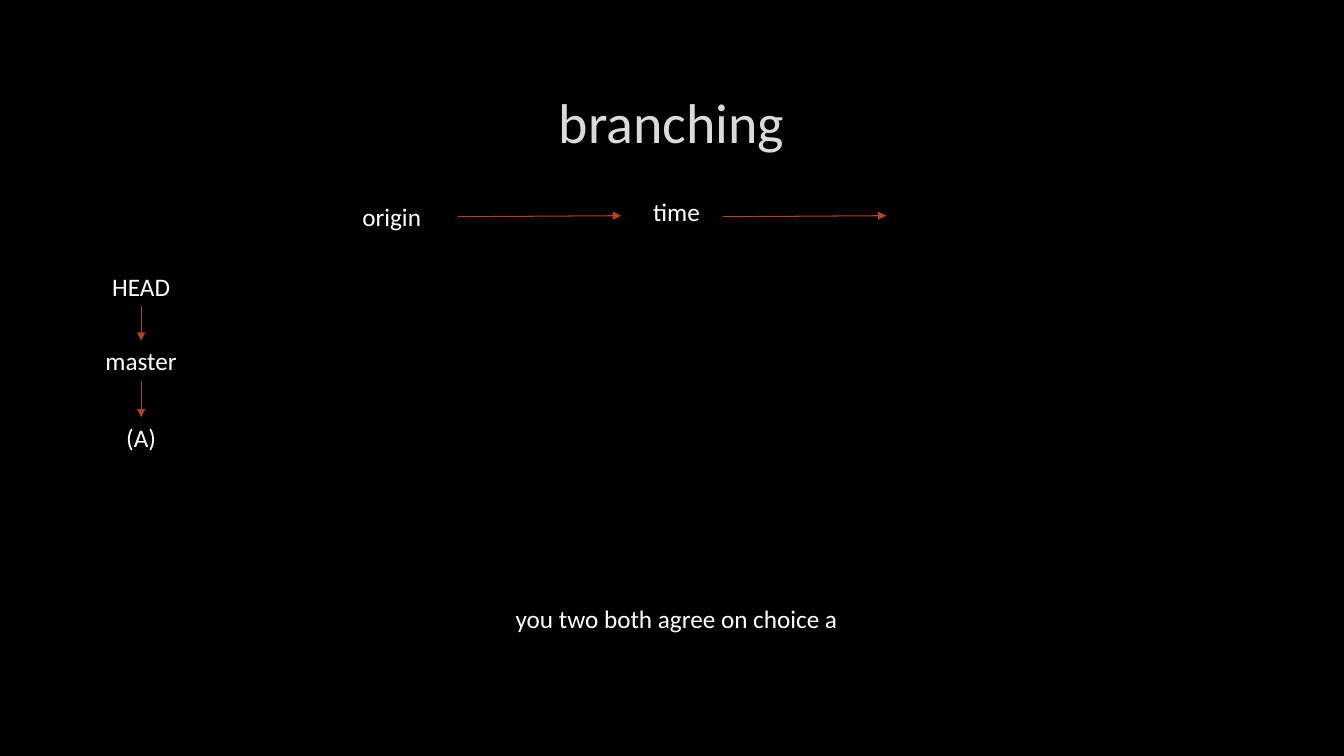
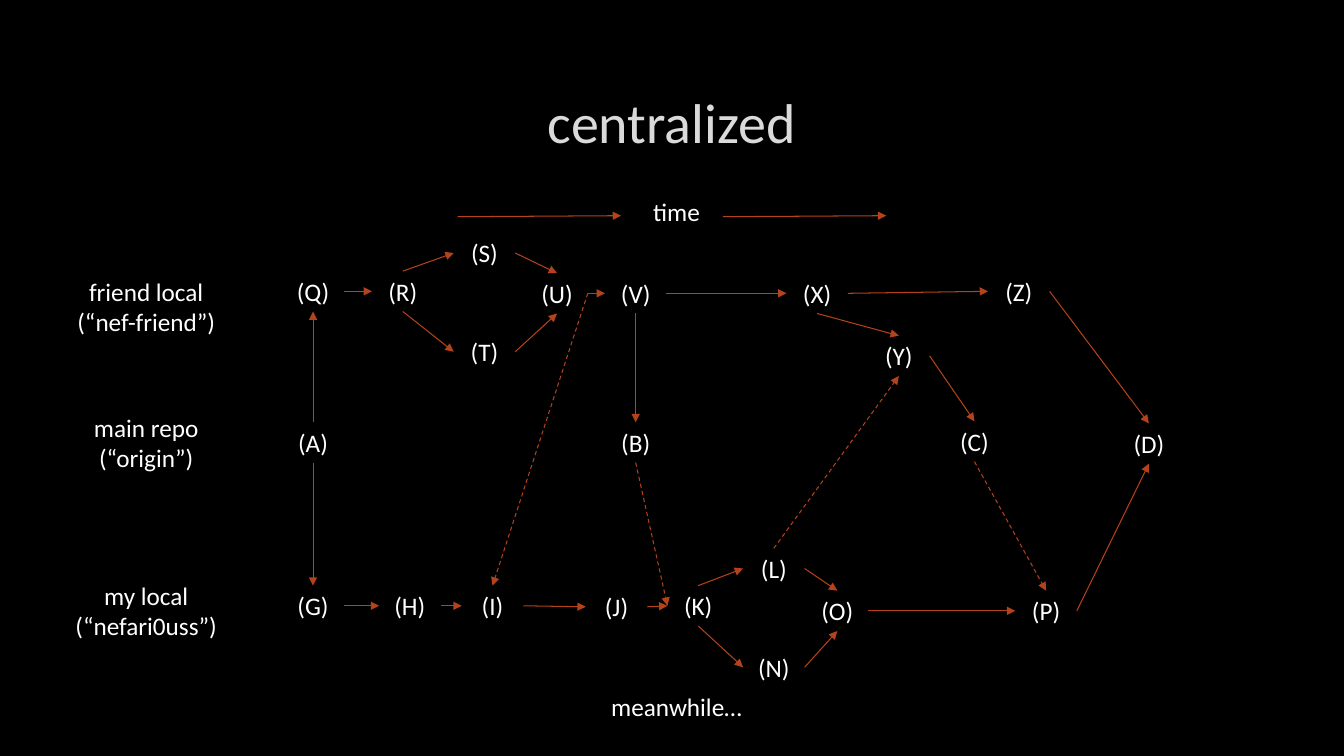
from pptx import Presentation
from pptx.dml.color import RGBColor
from pptx.enum.dml import MSO_LINE
from pptx.enum.shapes import MSO_CONNECTOR
from pptx.enum.text import MSO_ANCHOR, MSO_AUTO_SIZE, PP_ALIGN
from pptx.oxml.ns import qn
from pptx.util import Pt
from lxml.etree import SubElement

PX = 9144  # 100 px to the inch
FONT = "Calibri"
BLACK, WHITE, GREY, RUST = "000000", "FFFFFF", "DADADA", "B4421A"
SIDES = "tlbr"  # connection sites 0 to 3
LINE_H = 40


def px(*nums):
    return [round(n * PX) for n in nums]


def rgb(code):
    return RGBColor.from_string(code)


def label(shapes, box, *lines, size=18, color=WHITE):
    """Centred text, one paragraph for each line."""
    item = shapes.add_textbox(*px(*box))
    frame = item.text_frame
    frame.word_wrap = True
    for i, line in enumerate(lines):
        para = frame.paragraphs[0] if i == 0 else frame.add_paragraph()
        para.alignment = PP_ALIGN.CENTER
        run = para.add_run()
        run.text = line
        run.font.name = FONT
        run.font.size = Pt(size)
        run.font.color.rgb = rgb(color)
    frame.auto_size = MSO_AUTO_SIZE.SHAPE_TO_FIT_TEXT
    return item


def arrow(shapes, ends=(0, 0, 0, 0), dash=False):
    item = shapes.add_connector(MSO_CONNECTOR.STRAIGHT, *px(*ends))
    item.line.color.rgb = rgb(RUST)
    item.line.width = Pt(0.75)
    if dash:
        item.line.dash_style = MSO_LINE.DASH
    props = item._element.spPr
    SubElement(props.find(qn("a:ln")), qn("a:tailEnd"), type="triangle")
    SubElement(props, qn("a:effectLst"))
    return item


def link(shapes, start, out, end, into, dash=False):
    """Arrow glued to one side of each of two labels."""
    item = arrow(shapes, dash=dash)
    item.begin_connect(start, SIDES.index(out))
    item.end_connect(end, SIDES.index(into))


def time_bar(slide, x, y):
    shapes = slide.shapes.add_group_shape().shapes
    for left in (x, x + 263):
        arrow(shapes, (left, y + 25, left + 162, y + 24))
    label(shapes, (x + 171, y, 92, LINE_H), "time")


def base(deck, title):
    """Black slide with its title and the time bar."""
    slide = deck.slides.add_slide(deck.slide_layouts[6])
    slide.background.fill.solid()
    slide.background.fill.fore_color.rgb = rgb(BLACK)
    head = label(slide.shapes, (100, 67, 1132, 106), title, size=40, color=GREY)
    head.text_frame.auto_size = MSO_AUTO_SIZE.NONE
    head.text_frame.vertical_anchor = MSO_ANCHOR.MIDDLE
    time_bar(slide, 454, 190)
    return slide


def note(slide, y, text):
    label(slide.shapes, (469, y, 404, LINE_H), text)


def refs(slide, x, y):
    """Column of pointers, each leading to the next."""
    last = None
    for text, drop in (("HEAD", 0), ("master", 74), ("(A)", 150)):
        item = label(slide.shapes, (x, y + drop, 100, LINE_H), text)
        if last:
            link(slide.shapes, last, "b", item, "t")
        last = item


def repos(slide, x, y):
    rows = (("friend local", "(“nef-friend”)", 0),
            ("main repo", "(“origin”)", 135),
            ("my local", "(“nefari0uss”)", 302))
    for name, alias, drop in rows:
        label(slide.shapes, (x, y + drop, 182, 71), name, alias)


# Commits, by offset from the graph's corner
NODES = {
    # friend local
    "Q": (0, 39), "R": (89, 39), "S": (170, 1), "T": (170, 99),
    "U": (242, 41), "V": (320, 41), "X": (500, 41), "Y": (581, 103),
    "Z": (700, 39),
    # main repo
    "A": (0, 189), "B": (320, 189), "C": (656, 188), "D": (829, 190),
    # my local
    "G": (0, 351), "H": (96, 351), "I": (178, 351), "J": (301, 352),
    "K": (382, 351), "L": (457, 314), "N": (457, 412), "O": (520, 356),
    "P": (727, 356),
}
# Commit and side at the start, then at the end
SOLID = ("AtQb AbGt QrRl RtSl RbTl SrUt TrUb UrVl VrXl VbBt XrZl XbYt "
         "YrCt ZrDt GrHl HrIl IrJl JrKl KtLl KbNl LrOt NrOb OrPl PrDb")
DASHED = "UrIt BbKl LtYb CbPt"


def graph(slide, x, y):
    nodes = {key: label(slide.shapes, (x + dx, y + dy, 61, LINE_H), f"({key})")
             for key, (dx, dy) in NODES.items()}
    for links, dash in ((SOLID, False), (DASHED, True)):
        for start, out, end, into in links.split():
            link(slide.shapes, nodes[start], out, nodes[end], into, dash)


def branching(deck):
    slide = base(deck, "branching")
    refs(slide, 90, 264)
    label(slide.shapes, (341, 195, 95, LINE_H), "origin")
    note(slide, 594, "you two both agree on choice a")


def centralized(deck):
    slide = base(deck, "centralized")
    repos(slide, 54, 269)
    graph(slide, 280, 230)
    note(slide, 681, "meanwhile…")


def main():
    deck = Presentation()
    deck.slide_width, deck.slide_height = px(1333, 750)
    branching(deck)
    centralized(deck)
    deck.save("out.pptx")


if __name__ == "__main__":
    main()
